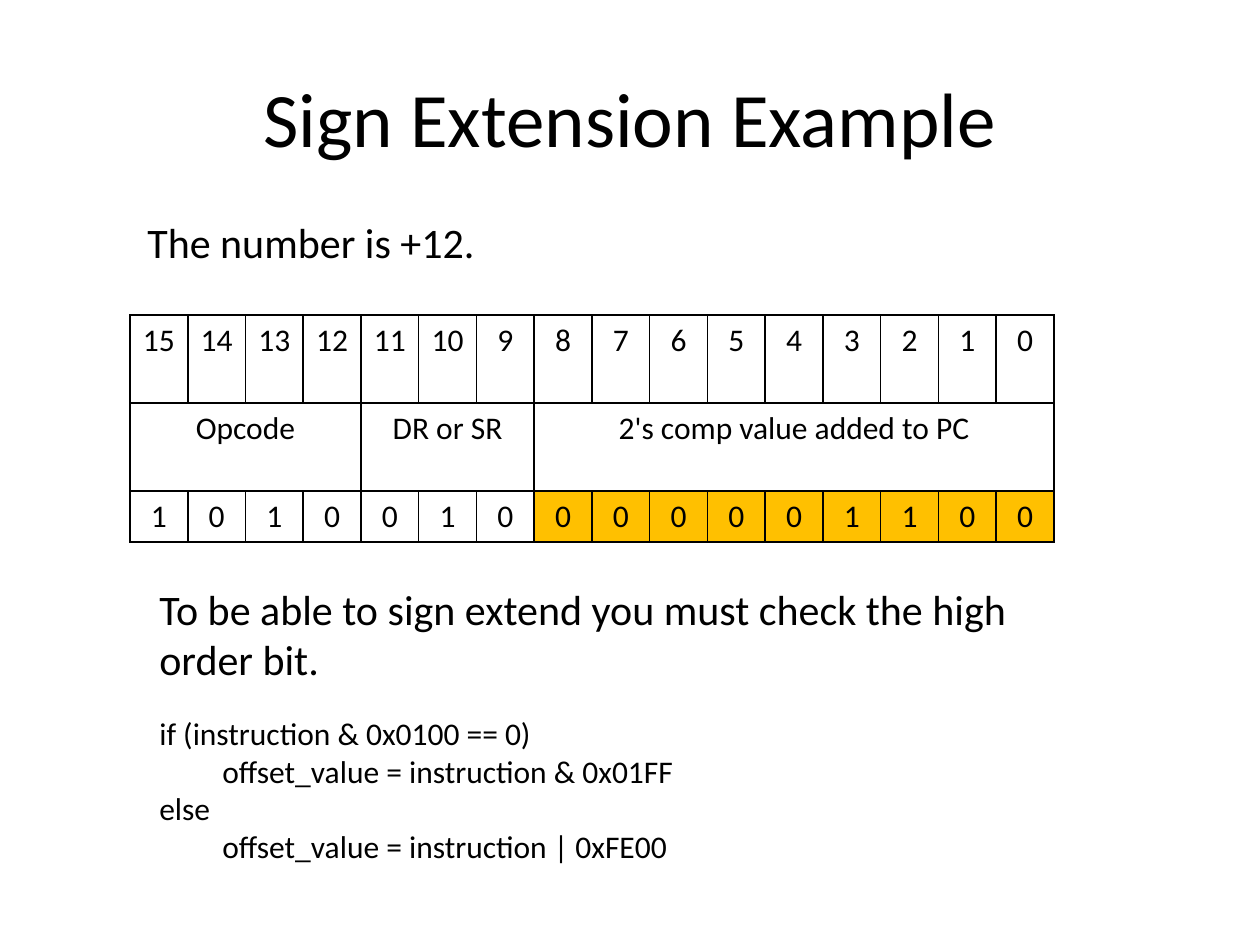
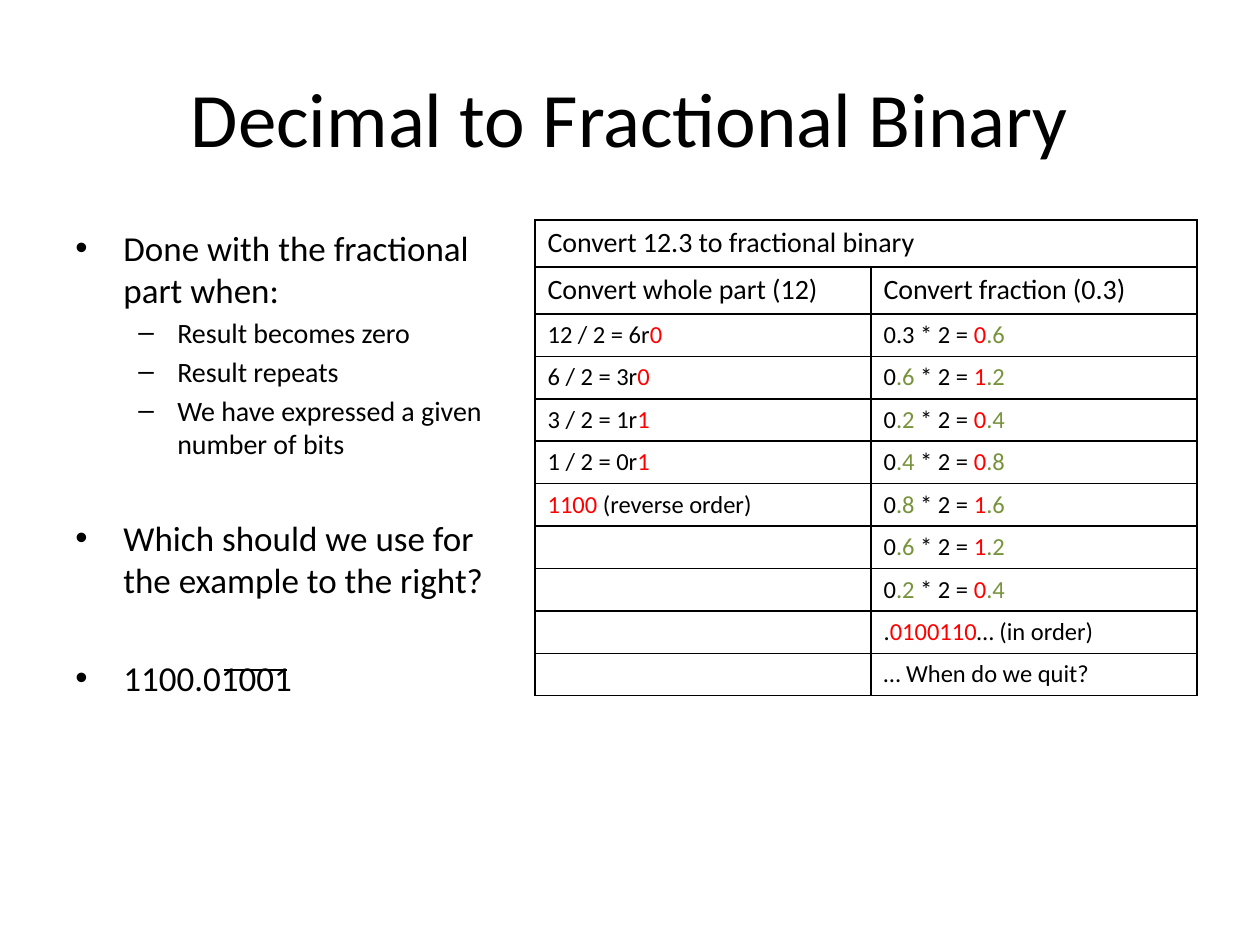
"""Builds two slides on sign extension and fractional binary."""
from lxml import etree
from pptx import Presentation
from pptx import util as u
from pptx.dml.color import RGBColor
from pptx.enum import shapes, text
from pptx.oxml.ns import qn

COLORS = {"ink": "000000", "highlight": "FFC000", "digit": "FF0000", "rest": "77933C"}
FONT = "Calibri"
PIXELS_PER_INCH = 126
TITLE_BOX = (63, 38, 1134, 157)

SIGN_TITLE = "Sign Extension Example"
SIGN_INTRO = "The number is +12."
SIGN_CHECK = "To be able to sign extend you must check the high order bit."
SIGN_CODE = [
    "if (instruction & 0x0100 == 0) ",
    "\toffset_value = instruction & 0x01FF",
    "else",
    "\toffset_value = instruction | 0xFE00",
]
FIELDS = [("Opcode", 4), ("DR or SR", 3), ("2's comp value added to PC", 9)]
BITS = "1010010000001100"
OFFSET_BITS = 9

FRACTION_TITLE = "Decimal to Fractional Binary"
BULLETS = [
    (0, "Done with the fractional part when:", 4),
    (1, "Result becomes zero", 3),
    (1, "Result repeats", 3),
    (1, "We have expressed a given number of bits", 3),
    (0, "Which should we use for the example to the right?", 32),
    (0, "1100.01001", 32),
]
BULLET_LEVELS = [
    {"mark": "•", "size": 20, "indent": 48, "hang": 48},
    {"mark": "–", "size": 16, "indent": 102, "hang": 39},
]
CONVERSION_HEADING = "Convert 12.3 to fractional binary"
CONVERSION_COLUMNS = ["Convert whole part (12)", "Convert fraction (0.3)"]
DIVISIONS = [("12 / 2 = 6r", "0"), ("6 / 2 = 3r", "0"), ("3 / 2 = 1r", "1"), ("1 / 2 = 0r", "1")]
WHOLE_RESULT = [("1100", "digit"), (" (reverse order)", "ink")]
PRODUCTS = [
    (".3", "0", ".6"), (".6", "1", ".2"), (".2", "0", ".4"), (".4", "0", ".8"),
    (".8", "1", ".6"), (".6", "1", ".2"), (".2", "0", ".4"),
]
FRACTION_RESULT = [(".", "ink"), ("0100110", "digit"), ("… (in order)", "ink")]
QUESTION = "… When do we quit?"


def px(length):
    return u.Emu(round(length * u.Inches(1) / PIXELS_PER_INCH))


def color(name):
    return RGBColor.from_string(COLORS[name])


def plain(words):
    return [(words, "ink")]


def write(paragraph, runs, size, centered=False, before=0):
    paragraph.alignment = text.PP_ALIGN.CENTER if centered else text.PP_ALIGN.LEFT
    paragraph.space_before = u.Pt(before)
    for words, color_name in runs:
        run = paragraph.add_run()
        run.text = words
        run.font.name = FONT
        run.font.size = u.Pt(size)
        run.font.color.rgb = color(color_name)
    if not runs:
        paragraph._p.get_or_add_endParaRPr().set("sz", str(size * 100))


def add_text(slide, box, lines, centered=False, wrap=True, anchor=text.MSO_ANCHOR.TOP):
    frame = slide.shapes.add_textbox(*map(px, box)).text_frame
    frame.word_wrap = wrap
    frame.vertical_anchor = anchor
    for index, (words, size, before) in enumerate(lines):
        paragraph = frame.add_paragraph() if index else frame.paragraphs[0]
        write(paragraph, plain(words), size, centered, before)
    return frame


def add_titled_slide(presentation, title):
    slide = presentation.slides.add_slide(presentation.slide_layouts[6])
    add_text(slide, TITLE_BOX, [(title, 44, 0)], True, anchor=text.MSO_ANCHOR.MIDDLE)
    return slide


def add_bullet(paragraph, level):
    properties = paragraph._p.get_or_add_pPr()
    properties.set("marL", str(px(level["indent"])))
    properties.set("indent", str(-px(level["hang"])))
    etree.SubElement(properties, qn("a:buFont")).set("typeface", "Arial")
    etree.SubElement(properties, qn("a:buChar")).set("char", level["mark"])


def border(cell):
    properties = cell._tc.get_or_add_tcPr()
    for side in ("lnL", "lnR", "lnT", "lnB"):
        line = etree.SubElement(properties, qn("a:" + side), w=str(u.Pt(1)))
        fill = etree.SubElement(line, qn("a:solidFill"))
        etree.SubElement(fill, qn("a:srgbClr")).set("val", COLORS["ink"])


def add_grid(slide, left, top, widths, heights, rows, sizes, centered=False):
    box = (left, top, sum(widths), sum(heights))
    table = slide.shapes.add_table(len(heights), len(widths), *map(px, box)).table
    table.first_row = table.horz_banding = False
    for column, width in zip(table.columns, widths):
        column.width = px(width)
    for row, height, contents, size in zip(table.rows, heights, rows, sizes):
        row.height = px(height)
        for cell, runs in zip(row.cells, contents):
            border(cell)
            cell.fill.background()
            write(cell.text_frame.paragraphs[0], runs, size, centered)
    return table


def build_sign_slide(presentation):
    slide = add_titled_slide(presentation, SIGN_TITLE)
    count = len(BITS)
    fields = [runs for name, span in FIELDS for runs in [plain(name)] + [[]] * (span - 1)]
    rows = [
        [plain(str(number)) for number in reversed(range(count))],
        fields,
        [plain(bit) for bit in BITS],
    ]
    table = add_grid(slide, 130, 315, [924 / count] * count, [88, 88, 51], rows, [18] * 3, True)
    start = 0
    for name, span in FIELDS:
        table.cell(1, start).merge(table.cell(1, start + span - 1))
        start += span
    for column in range(count - OFFSET_BITS, count):
        fill = table.cell(2, column).fill
        fill.solid()
        fill.fore_color.rgb = color("highlight")
    add_text(slide, (135, 210, 355, 63), [(SIGN_INTRO, 24, 0)], wrap=False)
    code = [(line, 18, 0 if index else 17) for index, line in enumerate(SIGN_CODE)]
    add_text(slide, (147, 577, 882, 297), [(SIGN_CHECK, 24, 0)] + code)


def product_runs(index, factor, whole, rest):
    return [("0", "ink"), (factor, "rest" if index else "ink"), (" * 2 = ", "ink"),
            (whole, "digit"), (rest, "rest")]


def build_fraction_slide(presentation):
    slide = add_titled_slide(presentation, FRACTION_TITLE)
    lines = [(words, BULLET_LEVELS[level]["size"], before) for level, words, before in BULLETS]
    frame = add_text(slide, (63, 220, 451, 624), lines)
    for paragraph, (level, words, before) in zip(frame.paragraphs, BULLETS):
        paragraph.level = level
        add_bullet(paragraph, BULLET_LEVELS[level])

    fractions = [product_runs(index, *product) for index, product in enumerate(PRODUCTS)]
    fractions += [FRACTION_RESULT, plain(QUESTION)]
    wholes = [[(step, "ink"), (digit, "digit")] for step, digit in DIVISIONS] + [WHOLE_RESULT]
    wholes += [[]] * (len(fractions) - len(wholes))
    rows = [[plain(CONVERSION_HEADING), []], [plain(name) for name in CONVERSION_COLUMNS]]
    rows += zip(wholes, fractions)
    steps = len(fractions)
    heights = [47, 47] + [382 / steps] * steps
    table = add_grid(slide, 535, 220, [336, 326], heights, rows, [16, 16] + [14] * steps)
    table.cell(0, 0).merge(table.cell(0, 1))

    overline = slide.shapes.add_connector(
        shapes.MSO_CONNECTOR.STRAIGHT, px(224), px(670), px(287), px(670))
    overline.line.color.rgb = color("ink")
    overline.line.width = u.Pt(1.5)
    etree.SubElement(overline._element.spPr, qn("a:effectLst"))


presentation = Presentation()
presentation.slide_width, presentation.slide_height = px(1260), px(945)
build_sign_slide(presentation)
build_fraction_slide(presentation)
presentation.save("out.pptx")
